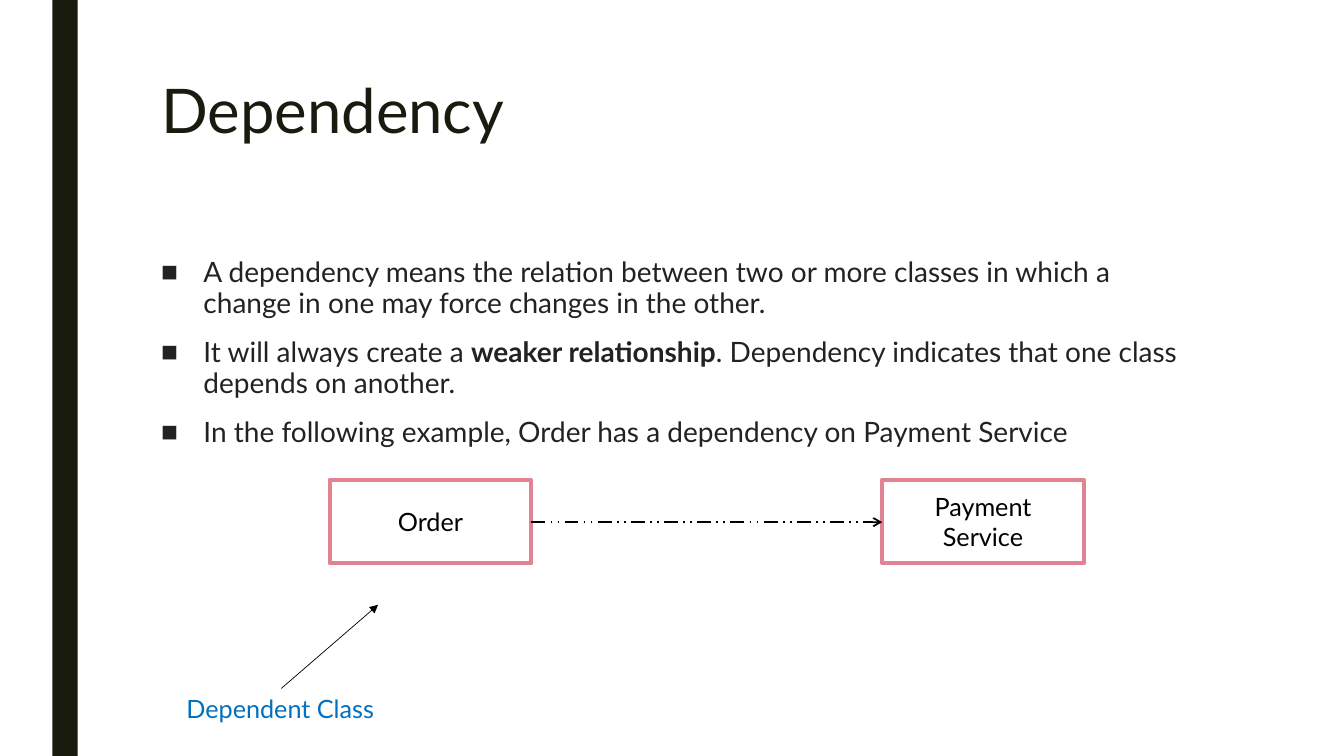
from pptx import Presentation
from pptx.util import Inches, Pt
from pptx.dml.color import RGBColor
from pptx.enum import dml, shapes, text
from pptx.oxml.ns import qn
from lxml import etree

DARK = RGBColor(0x19, 0x1B, 0x0E)
BODY = RGBColor(0x22, 0x22, 0x22)
BLUE = RGBColor(0x00, 0x70, 0xC0)
PINK = RGBColor(0xE2, 0x83, 0x94)
BLACK = RGBColor(0, 0, 0)
WHITE = RGBColor(0xFF, 0xFF, 0xFF)


def add_run(p, content, size, color, bold=False):
    r = p.add_run()
    r.text = content
    r.font.name = "Lato"
    r.font.size = Pt(size)
    r.font.bold = bold
    r.font.color.rgb = color


def add_arrow(x1, y1, x2, y2, width, head):
    c = s.shapes.add_connector(shapes.MSO_CONNECTOR.STRAIGHT,
                               Inches(x1), Inches(y1), Inches(x2), Inches(y2))
    c.line.color.rgb = BLACK
    c.line.width = Pt(width)
    etree.SubElement(c.line._get_or_add_ln(), qn("a:tailEnd"), type=head)
    etree.SubElement(c._element.spPr, qn("a:effectLst"))
    return c


prs = Presentation()
prs.slide_width = Inches(13.33)
prs.slide_height = Inches(7.5)
s = prs.slides.add_slide(prs.slide_layouts[6])

bar = s.shapes.add_shape(shapes.MSO_SHAPE.RECTANGLE, Inches(0.52), 0, Inches(0.25), Inches(7.5))
bar.shadow.inherit = False
bar.fill.solid()
bar.fill.fore_color.rgb = DARK
bar.line.fill.background()

title = s.shapes.add_textbox(Inches(1.5), Inches(0.75), Inches(10.5), Inches(1.62))
title.text_frame.word_wrap = True
p = title.text_frame.paragraphs[0]
p.line_spacing = 0.89
add_run(p, "Dependency", 44, DARK)

bullets = [
    [("A dependency means the relation between two or more classes in which a change in one "
      "may force changes in the other.", False)],
    [("It will always create a ", False), ("weaker relationship", True),
     (". Dependency indicates that one class depends on another.", False)],
    [("In the following example, Order has a dependency on Payment Service", False)],
]
body = s.shapes.add_textbox(Inches(1.5), Inches(2.5), Inches(10.5), Inches(3.92))
tf = body.text_frame
tf.word_wrap = True
for i, parts in enumerate(bullets):
    p = tf.add_paragraph() if i else tf.paragraphs[0]
    p.line_spacing = 0.94
    p.space_before = Pt(10)
    p.space_after = Pt(2)
    pPr = p._p.get_or_add_pPr()
    pPr.set("marL", str(Inches(0.42)))
    pPr.set("indent", str(-Inches(0.42)))
    etree.SubElement(pPr, qn("a:buFont"), typeface="Arial")
    etree.SubElement(pPr, qn("a:buChar"), char="■")
    for content, bold in parts:
        add_run(p, content, 20, BODY, bold)

label = s.shapes.add_textbox(Inches(1.75), Inches(6.83), Inches(2.08), Inches(0.4))
label.text_frame.word_wrap = True
add_run(label.text_frame.paragraphs[0], "Dependent Class", 18, BLUE)
add_arrow(2.79, 6.83, 3.75, 6, 0.5, "triangle")

for name, left in [("Order", 3.27), ("Payment Service", 8.75)]:
    sp = s.shapes.add_shape(shapes.MSO_SHAPE.RECTANGLE,
                            Inches(left), Inches(4.76), Inches(2), Inches(0.83))
    sp.shadow.inherit = False
    sp.fill.solid()
    sp.fill.fore_color.rgb = WHITE
    sp.line.color.rgb = PINK
    sp.line.width = Pt(2.75)
    tf = sp.text_frame
    tf.word_wrap = True
    tf.vertical_anchor = text.MSO_ANCHOR.MIDDLE
    p = tf.paragraphs[0]
    p.alignment = text.PP_ALIGN.CENTER
    add_run(p, name, 18, BLACK)

link = add_arrow(5.27, 5.18, 8.75, 5.18, 1.25, "arrow")
link.line.dash_style = dml.MSO_LINE.DASH_DOT_DOT

prs.save("out.pptx")
